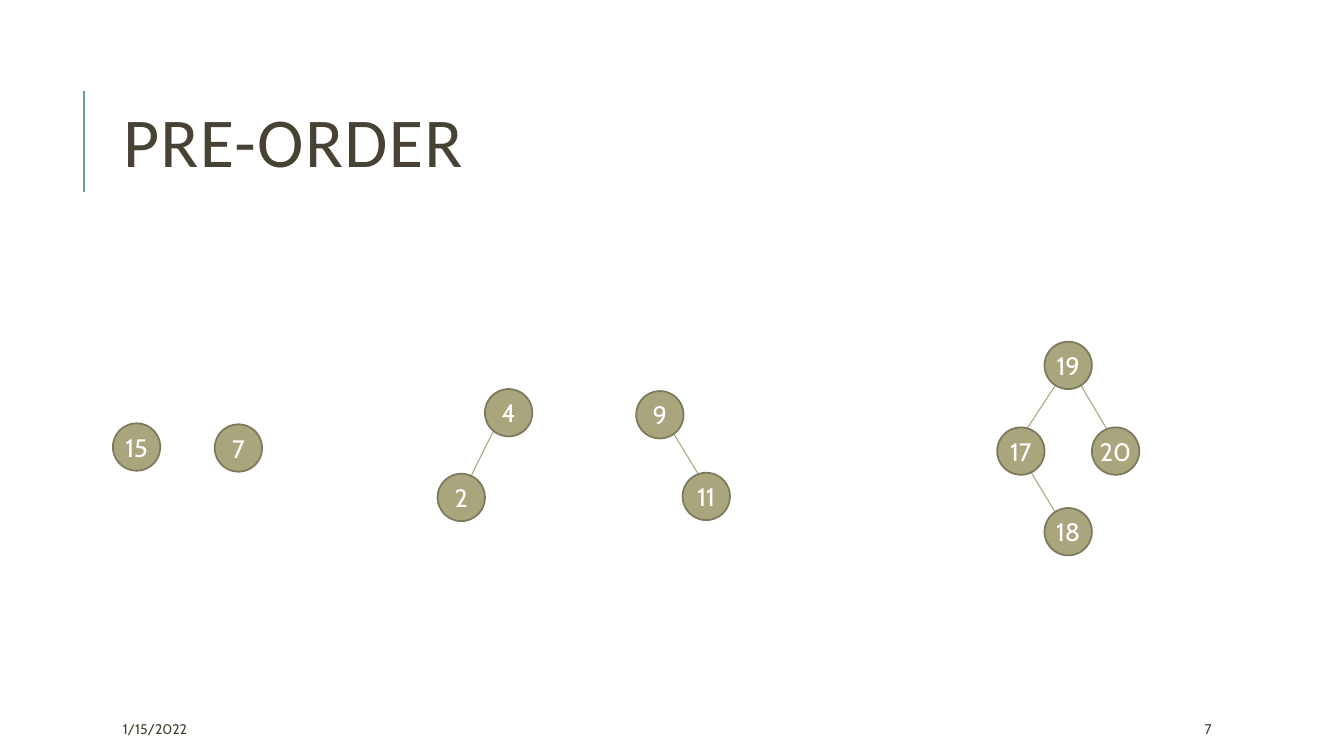
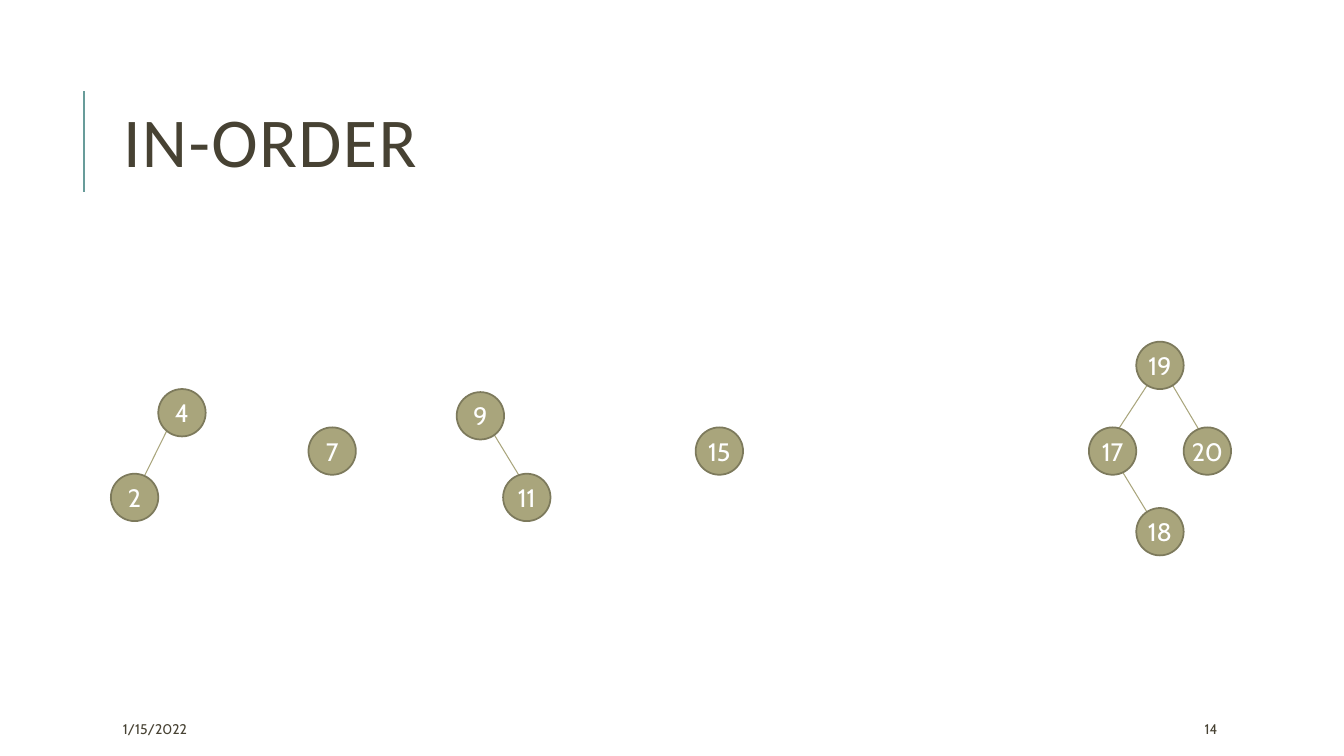
from dataclasses import dataclass

from lxml import etree
from pptx import Presentation
from pptx.dml.color import RGBColor
from pptx.enum.shapes import MSO_CONNECTOR, MSO_SHAPE
from pptx.enum.text import MSO_ANCHOR, MSO_AUTO_SIZE, PP_ALIGN
from pptx.oxml.ns import qn
from pptx.util import Pt

STRAIGHT = MSO_CONNECTOR.STRAIGHT
OVAL = MSO_SHAPE.OVAL
MIDDLE = MSO_ANCHOR.MIDDLE
NO_FIT = MSO_AUTO_SIZE.NONE
LEFT = PP_ALIGN.LEFT
CENTER = PP_ALIGN.CENTER

SCALE = 9144
PAGE_WIDTH, PAGE_HEIGHT = 1333, 750
NODE_SIZE = 47
TITLE_ONLY = 5
DATE = "1/15/2022"


@dataclass(frozen=True)
class Theme:
    ink: str = "474233"
    accent: str = "689C9A"
    node: str = "A9A57C"
    node_border: str = "7D7A5C"
    node_text: str = "FFFFFF"
    title_font: str = "Calibri"
    body_font: str = "Cabin"
    title_size: int = 50
    node_size: int = 18
    footer_size: int = 10
    accent_width: float = 1.5
    border_width: float = 1.25
    edge_width: float = 0.75


@dataclass(frozen=True)
class Node:
    label: str
    offset: tuple = (0, 0)
    anchor: tuple = (24, 24)
    parent: str = ""


TREES = {
    "15": [Node("15")],
    "7": [Node("7")],
    "4": [
        Node("4", anchor=(18, 22)),
        Node("2", (-47, 84), (22, 25), "4"),
    ],
    "9": [
        Node("9", anchor=(23, 19)),
        Node("11", (46, 81), (30, 25), "9"),
    ],
    "19": [
        Node("19", anchor=(24, 23)),
        Node("17", (-47, 85), (18, 19), "19"),
        Node("20", (47, 85), (25, 19), "19"),
        Node("18", (0, 165), (24, 26), "17"),
    ],
}

PAGES = [
    ("PRE-ORDER", "7", {
        "15": (112, 420), "7": (213, 421), "4": (481, 386),
        "9": (631, 388), "19": (1036, 339),
    }),
    ("IN-ORDER", "14", {
        "15": (690, 424), "7": (306, 424), "4": (157, 386),
        "9": (453, 389), "19": (1127, 339),
    }),
]


def px(*lengths):
    return [length * SCALE for length in lengths]


def color(code):
    return RGBColor.from_string(code)


class Deck:
    def __init__(self, theme):
        self.theme = theme
        self.deck = Presentation()
        self.deck.slide_width, self.deck.slide_height = px(PAGE_WIDTH, PAGE_HEIGHT)
        self.page = None

    def add_page(self, title, number):
        layout = self.deck.slide_layouts[TITLE_ONLY]
        self.page = self.deck.slides.add_slide(layout)
        theme = self.theme
        self.line((83, 190), (83, 90), theme.accent, theme.accent_width)
        self.title(title)
        self.footer(DATE, 112, 236)
        self.footer(number, 1185, 106)

    def label(self, box, text, font, size, ink, align=LEFT):
        frame = box.text_frame
        frame.text = text
        frame.word_wrap = True
        frame.auto_size = NO_FIT
        frame.vertical_anchor = MIDDLE
        para = frame.paragraphs[0]
        para.alignment = align
        span = para.runs[0]
        span.font.name = font
        span.font.size = Pt(size)
        span.font.color.rgb = color(ink)
        return para

    def title(self, text):
        theme = self.theme
        box = self.page.shapes.title
        box.left, box.top, box.width, box.height = px(112, 64, 1063, 164)
        para = self.label(box, text, theme.title_font, theme.title_size, theme.ink)
        para.line_spacing = 0.8
        para.runs[0].font._element.set("spc", "100")

    def footer(self, text, left, width):
        theme = self.theme
        box = self.page.shapes.add_textbox(*px(left, 708, width, 30))
        self.label(box, text, theme.body_font, theme.footer_size, theme.ink)

    def line(self, start, end, ink, width):
        line = self.page.shapes.add_connector(STRAIGHT, *px(*start, *end))
        line.line.color.rgb = color(ink)
        line.line.width = Pt(width)
        etree.SubElement(line._element.spPr, qn("a:effectLst"))

    def node(self, text, left, top):
        theme = self.theme
        shape = self.page.shapes.add_shape(
            OVAL, *px(left, top, NODE_SIZE, NODE_SIZE))
        shape.shadow.inherit = False
        shape.fill.solid()
        shape.fill.fore_color.rgb = color(theme.node)
        shape.line.color.rgb = color(theme.node_border)
        shape.line.width = Pt(theme.border_width)
        frame = shape.text_frame
        frame.margin_left = frame.margin_right = 0
        frame.margin_top = frame.margin_bottom = 0
        self.label(shape, text, theme.body_font, theme.node_size,
                   theme.node_text, CENTER)

    def tree(self, nodes, left, top):
        theme = self.theme
        places = {node.label: (left + node.offset[0], top + node.offset[1])
                  for node in nodes}
        anchors = {node.label: (places[node.label][0] + node.anchor[0],
                                places[node.label][1] + node.anchor[1])
                   for node in nodes}
        for node in nodes:
            if node.parent:
                self.line(anchors[node.parent], anchors[node.label],
                          theme.node, theme.edge_width)
        for text, place in places.items():
            self.node(text, *place)


def main():
    deck = Deck(Theme())
    for title, number, roots in PAGES:
        deck.add_page(title, number)
        for root, place in roots.items():
            deck.tree(TREES[root], *place)
    deck.deck.save("out.pptx")


if __name__ == "__main__":
    main()
